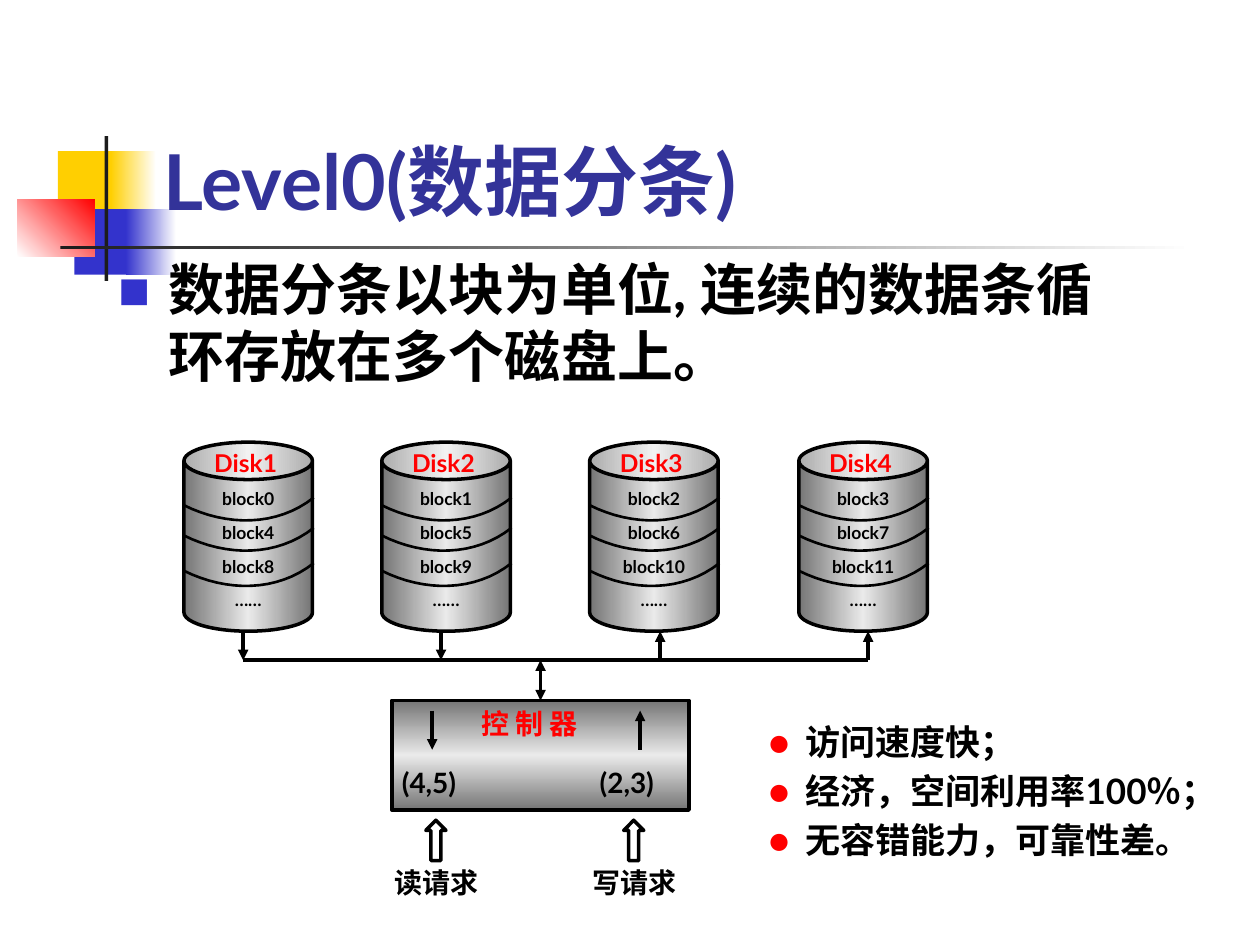
from lxml import etree
from pptx import Presentation
from pptx.dml.color import RGBColor
from pptx.enum import shapes, text
from pptx.oxml.ns import qn
from pptx.util import Inches, Pt

COLORS = {
    "yellow": "FFCF01", "blue": "3333CC", "red": "FF0000", "white": "FFFFFF",
    "title": "333399", "ink": "1C1C1C", "black": "000000",
    "steel": "757575", "shine": "EAEAEA",
}
METAL = ["steel", "shine", "steel"]
FONT = "Lato"

TITLE = "Level0(数据分条)"
INTRO = "数据分条以块为单位, 连续的数据条循环存放在多个磁盘上。"
TRAITS = ["访问速度快；", "经济，空间利用率100％；", "无容错能力，可靠性差。"]

# box, colours, clockwise gradient angle
ORNAMENTS = [
    ((0.46, 1.2, 0.48, 0.52), ["yellow"], 0),
    ((0.88, 1.2, 0.36, 0.52), ["yellow", "white"], 0),
    ((0.59, 1.66, 0.46, 0.52), ["blue"], 0),
    ((1, 1.66, 0.4, 0.52), ["blue", "white"], 0),
    ((0.14, 1.58, 0.61, 0.46), ["white", "red"], 315),
    ((0.83, 1.08, 0.03, 1.15), ["ink"], 0),
    ((0.48, 1.95, 9, 0.03), ["ink", "white"], 0),
]

# left edge, x of the bus connection, whether data flows up into the disk
DISKS = [(1.46, 1.93, False), (3.03, 3.5, False), (4.68, 5.24, True), (6.34, 6.89, True)]
DISK_TOP, DISK_WIDTH, DISK_HEIGHT = 3.51, 1.02, 1.5
DISK_BOTTOM = DISK_TOP + DISK_HEIGHT
STRIPE_ROWS = 3
STRIPE_DROPS = [0, 0.24, 0.52]
# Bezier control points, relative to the left top of a disk
STRIPE_CURVE = [(1.03, 0.44), (0.74, 0.67), (0.34, 0.67), (0, 0.5)]
BUS_Y, CONTROLLER_TOP = 5.24, 5.56

# left edge, block numbers, request name, inner arrow x, whether it points up
REQUESTS = [(3.11, "(4,5)", "读请求", 3.43, False), (4.68, "(2,3)", "写请求", 5.08, True)]


def rgb(name):
    return RGBColor.from_string(COLORS[name])


def inches(values):
    return [Inches(value) for value in values]


def paint(shape, colors, angle=0):
    """Fill with one colour, or with an evenly spaced gradient, angle clockwise."""
    if len(colors) == 1:
        shape.fill.solid()
        shape.fill.fore_color.rgb = rgb(colors[0])
        return
    shape.fill.gradient()
    shape.fill.gradient_angle = -angle % 360
    stops = shape._element.spPr.find(qn("a:gradFill")).find(qn("a:gsLst"))
    for stop in list(stops):
        stops.remove(stop)
    for i, color in enumerate(colors):
        stop = etree.SubElement(stops, qn("a:gs"), pos=str(100000 * i // (len(colors) - 1)))
        etree.SubElement(stop, qn("a:srgbClr"), val=COLORS[color])


def outline(shape, width=2):
    shape.line.color.rgb = rgb("black")
    shape.line.width = Pt(width)


def add_preset(slide, kind, box):
    shape = slide.shapes.add_shape(kind, *inches(box))
    shape.shadow.inherit = False
    return shape


def clear_margins(frame):
    frame.margin_left = frame.margin_right = frame.margin_top = frame.margin_bottom = 0


def style(paragraph, size, color):
    for run in paragraph.runs:
        run.font.name = FONT
        run.font.size = Pt(size)
        run.font.bold = True
        run.font.color.rgb = rgb(color)


def add_label(slide, box, words, size, color, align=text.PP_ALIGN.LEFT):
    frame = slide.shapes.add_textbox(*inches(box)).text_frame
    clear_margins(frame)
    frame.text = words
    frame.paragraphs[0].alignment = align
    style(frame.paragraphs[0], size, color)


def write_list(holder, items, size, bullet, bullet_color, bullet_percent, indent):
    frame = holder.text_frame
    clear_margins(frame)
    frame.word_wrap = True
    frame.auto_size = text.MSO_AUTO_SIZE.NONE
    frame.text = "\n".join(items)
    for i, paragraph in enumerate(frame.paragraphs):
        paragraph.space_before = Pt(0.2 * size if i else 0)
        props = paragraph._p.get_or_add_pPr()
        props.set("marL", str(Inches(indent)))
        props.set("indent", str(-Inches(indent)))
        tint = etree.SubElement(props, qn("a:buClr"))
        etree.SubElement(tint, qn("a:srgbClr"), val=COLORS[bullet_color])
        etree.SubElement(props, qn("a:buSzPct"), val=str(bullet_percent * 1000))
        etree.SubElement(props, qn("a:buFont"), typeface=FONT)
        etree.SubElement(props, qn("a:buChar"), char=bullet)
        style(paragraph, size, "black")


def add_line(slide, start, end, *arrow_ends):
    line = slide.shapes.add_connector(
        shapes.MSO_CONNECTOR.STRAIGHT, *inches(start), *inches(end))
    outline(line)
    for arrow_end in arrow_ends:
        etree.SubElement(line.line._get_or_add_ln(), qn("a:" + arrow_end), type="triangle")
    etree.SubElement(line._element.spPr, qn("a:effectLst"))


def curve_points(controls, steps=16):
    """Points along a cubic Bezier curve."""
    points = []
    for i in range(steps + 1):
        t = i / steps
        weights = [(1 - t) ** 3, 3 * t * (1 - t) ** 2, 3 * t ** 2 * (1 - t), t ** 3]
        points.append(tuple(sum(w * c[axis] for w, c in zip(weights, controls))
                            for axis in (0, 1)))
    return points


def add_disk(slide, number, left):
    can = add_preset(slide, shapes.MSO_SHAPE.CAN, (left, DISK_TOP, DISK_WIDTH, DISK_HEIGHT))
    can.adjustments[0] = 0.291
    paint(can, METAL)
    outline(can)
    frame = can.text_frame
    frame.margin_top, frame.margin_bottom = 0, Inches(0.05)
    frame.word_wrap = False
    frame.vertical_anchor = text.MSO_ANCHOR.MIDDLE
    blocks = [f"block{number + row * len(DISKS)}" for row in range(STRIPE_ROWS)]
    frame.text = "\n".join(blocks + ["……"])
    for paragraph in frame.paragraphs:
        paragraph.alignment = text.PP_ALIGN.CENTER
        paragraph.line_spacing = 1.6
        style(paragraph, 10, "black")
    add_label(slide, (left + 0.24, 3.56, 0.55, 0.23), f"Disk{number + 1}", 14, "red")
    for drop in STRIPE_DROPS:
        points = [inches((left + x, DISK_TOP + drop + y))
                  for x, y in curve_points(STRIPE_CURVE)]
        builder = slide.shapes.build_freeform(*points[0])
        builder.add_line_segments(points[1:], close=False)
        stripe = builder.convert_to_shape()
        stripe.shadow.inherit = False
        stripe.fill.background()
        outline(stripe, 1.5)


def add_controller(slide):
    controller = add_preset(slide, shapes.MSO_SHAPE.RECTANGLE, (3.11, CONTROLLER_TOP, 2.36, 0.87))
    paint(controller, METAL, 90)
    outline(controller)
    add_label(slide, (3.82, 5.61, 0.87, 0.27), "控 制 器", 16, "red")
    for left, numbers, request, arrow_x, upward in REQUESTS:
        add_line(slide, (arrow_x, 5.64), (arrow_x, 5.95), "headEnd" if upward else "tailEnd")
        add_label(slide, (left + 0.08, 6.08, 0.63, 0.27), numbers, 16, "black")
        arrow = add_preset(slide, shapes.MSO_SHAPE.UP_ARROW, (left + 0.27, 6.51, 0.16, 0.32))
        arrow.adjustments[1] = 0.506
        arrow.fill.background()
        outline(arrow)
        add_label(slide, (left, 6.87, 0.71, 0.27), request, 16, "black", text.PP_ALIGN.CENTER)


def place(holder, box):
    holder.left, holder.top, holder.width, holder.height = inches(box)


def main():
    deck = Presentation()
    deck.slide_width, deck.slide_height = Inches(10), Inches(7.5)
    slide = deck.slides.add_slide(deck.slide_layouts[1])
    title, intro = slide.placeholders

    for i, (box, colors, angle) in enumerate(ORNAMENTS):
        ornament = add_preset(slide, shapes.MSO_SHAPE.RECTANGLE, box)
        paint(ornament, colors, angle)
        ornament.line.fill.background()
        title._element.addprevious(ornament._element)

    place(title, (1.3, 1.06, 6.5, 0.73))
    clear_margins(title.text_frame)
    title.text_frame.auto_size = text.MSO_AUTO_SIZE.NONE
    title.text_frame.vertical_anchor = text.MSO_ANCHOR.BOTTOM
    title.text_frame.text = TITLE
    title.text_frame.paragraphs[0].alignment = text.PP_ALIGN.LEFT
    style(title.text_frame.paragraphs[0], 44, "title")

    place(intro, (0.94, 2.02, 7.95, 1.07))
    write_list(intro, [INTRO], 32, "■", "blue", 60, 0.4)
    traits = slide.shapes.add_textbox(*inches((6.1, 5.72, 3.7, 1.13)))
    write_list(traits, TRAITS, 20, "●", "red", 100, 0.29)

    for number, (left, link_x, upward) in enumerate(DISKS):
        add_disk(slide, number, left)
        add_line(slide, (link_x, DISK_BOTTOM), (link_x, BUS_Y), "headEnd" if upward else "tailEnd")
    add_line(slide, (DISKS[0][1], BUS_Y), (DISKS[-1][1], BUS_Y))
    add_line(slide, (4.29, BUS_Y), (4.29, CONTROLLER_TOP), "headEnd", "tailEnd")
    add_controller(slide)
    deck.save("out.pptx")


if __name__ == "__main__":
    main()
